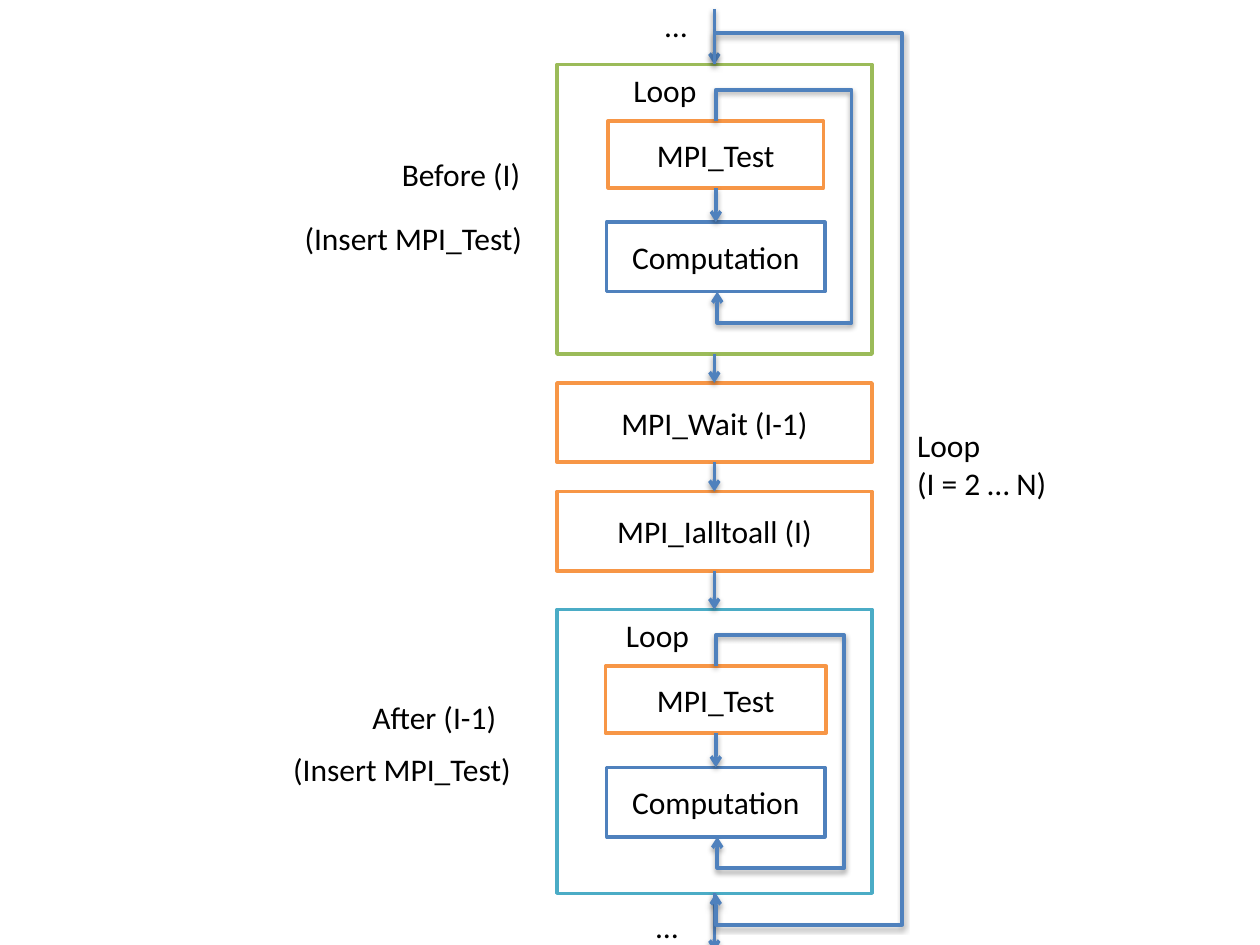
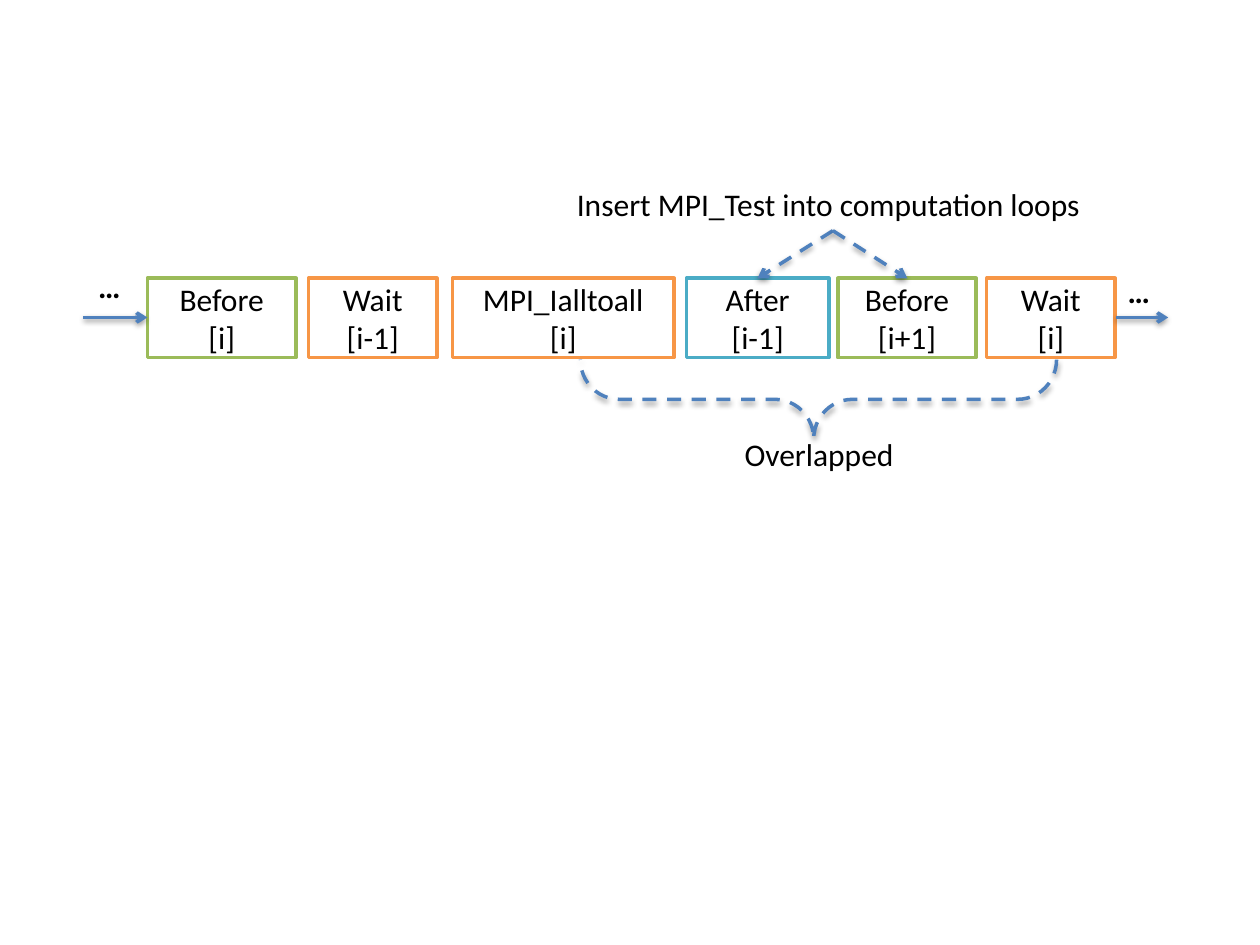
from pptx import Presentation
from pptx.util import Cm, Pt
from pptx.dml.color import RGBColor
from pptx.enum.dml import MSO_LINE as Dash
from pptx.enum.shapes import MSO_CONNECTOR as Link, MSO_SHAPE as Form
from pptx.enum.text import MSO_ANCHOR as Anchor, MSO_AUTO_SIZE as Fit, PP_ALIGN as Align
from pptx.oxml import parse_xml
from pptx.oxml.ns import nsdecls, qn
from lxml.etree import SubElement

BLUE, GREEN, ORANGE, TEAL, BLACK = "4F81BD", "9BBB59", "F79646", "4BACC6", "000000"
SHADE = (
    f'<a:effectLst {nsdecls("a")}><a:outerShdw blurRad="40000" dist="20000" '
    'dir="5400000" rotWithShape="0"><a:srgbClr val="000000">'
    '<a:alpha val="38000"/></a:srgbClr></a:outerShdw></a:effectLst>'
)


def tint(code):
    return RGBColor.from_string(code)


def apply(item, form):
    for name, value in form.items():
        setattr(item, name, value)


class Pen:
    """Draw boxes, labels, arrows and loops on the current slide in one style."""

    font = {"name": "Calibri", "size": Pt(18)}
    boxed = {"word_wrap": True, "vertical_anchor": Anchor.MIDDLE}
    loose = {"word_wrap": False, "auto_size": Fit.SHAPE_TO_FIT_TEXT}

    def __init__(self, deck):
        self.deck = deck
        self.slide = None

    def page(self):
        self.slide = self.deck.slides.add_slide(self.deck.slide_layouts[6])

    def letter(self, frame, text, form, align, bold=False):
        apply(frame, form)
        frame.text = text
        for para in frame.paragraphs:
            para.alignment = align
            apply(para.font, {**self.font, "bold": bold})
            para.font.color.rgb = tint(BLACK)

    def edge(self, shape, color=BLUE, dash=False):
        shape.line.width = Pt(2)
        shape.line.color.rgb = tint(color)
        if dash:
            shape.line.dash_style = Dash.DASH

    def shape(self, form, x, y, w, h, color, dash=False):
        shape = self.slide.shapes.add_shape(form, Cm(x), Cm(y), Cm(w), Cm(h))
        shape.shadow.inherit = False
        shape.fill.background()
        self.edge(shape, color, dash)
        return shape

    def box(self, x, y, w, h, color, text=""):
        shape = self.shape(Form.RECTANGLE, x, y, w, h, color)
        if text:
            self.letter(shape.text_frame, text, self.boxed, Align.CENTER)

    def label(self, x, y, w, text, h=1.03, bold=False):
        shape = self.slide.shapes.add_textbox(Cm(x), Cm(y), Cm(w), Cm(h))
        self.letter(shape.text_frame, text, self.loose, Align.LEFT, bold)

    def link(self, kind, x1, y1, x2, y2, dash=False):
        line = self.slide.shapes.add_connector(kind, Cm(x1), Cm(y1), Cm(x2), Cm(y2))
        self.edge(line, BLUE, dash)
        props = line._element.spPr
        SubElement(props.find(qn("a:ln")), qn("a:tailEnd"), type="arrow")
        props.append(parse_xml(SHADE))
        return line

    def arrow(self, x1, y1, x2, y2, dash=False):
        self.link(Link.STRAIGHT, x1, y1, x2, y2, dash)

    def loop(self, x, top, end, right, gap=0.63, slip=0.03):
        span = end - top
        left, mid = x + (slip - span) / 2, (top + end) / 2
        line = self.link(Link.ELBOW, left + span, mid - slip / 2, left, mid + slip / 2)
        props = line._element.spPr
        props.find(qn("a:xfrm")).set("rot", "16200000")
        geom = props.find(qn("a:prstGeom"))
        geom.set("prst", "bentConnector5")
        bends = geom.find(qn("a:avLst"))
        for i, bend in enumerate((-gap / span, (right - x) / slip, 1 + gap / span), 1):
            SubElement(bends, qn("a:gd"), name=f"adj{i}", fmla=f"val {round(bend * 100000)}")

    def brace(self, x, y, w, h):
        shape = self.shape(Form.LEFT_BRACE, x, y, w, h, BLUE, True)
        shape.rotation = 270
        shape.adjustments[0], shape.adjustments[1] = 0.49, 0.49
        props = shape._element.spPr
        props.replace(props.find(qn("a:effectLst")), parse_xml(SHADE))

    def stage(self, top, h, color, wide, right, tag):
        mid = 14.43
        self.box(11.23, top, 6.35, h, color)
        self.box(mid - wide / 2, top + 1.14, wide, 1.35, ORANGE, "MPI_Test")
        self.box(mid - 2.2, top + 3.18, 4.4, 1.4, BLUE, "Computation")
        self.arrow(mid, top + 2.49, mid, top + 3.18)
        self.loop(mid, top + 1.14, top + 4.58, right)
        self.label(tag, top, 1.8, "Loop")


def flow(pen):
    pen.page()
    axis = 14.4
    pen.stage(1.3, 5.84, GREEN, 4.34, 17.17, 12.52)
    pen.stage(12.29, 5.72, TEAL, 4.45, 17.02, 12.37)
    for y, text in ((7.72, "MPI_Wait (I-1)"), (9.91, "MPI_Ialltoall (I)")):
        pen.box(11.23, y, 6.35, 1.6, ORANGE, text)
    for top, end in ((0.18, 1.3), (7.14, 7.72), (9.32, 9.91), (11.51, 12.29), (18.01, 19.18)):
        pen.arrow(axis, top, axis, end)
    pen.loop(axis, 1.3, 18.01, 18.19)
    for x, y, w, text in (
        (7.85, 3, 2.95, "Before (I)"),
        (5.89, 4.29, 5, "(Insert MPI_Test)"),
        (7.26, 13.94, 3.02, "After (I-1)"),
        (5.66, 14.99, 5, "(Insert MPI_Test)"),
        (13.16, 0, 0.97, "…"),
        (12.98, 18.16, 0.97, "…"),
    ):
        pen.label(x, y, w, text)
    pen.label(18.24, 8.46, 3.15, "Loop\n(I = 2 … N)", 1.8)


def order(pen):
    pen.page()
    for x, w, color, name, step in (
        (2.97, 3, GREEN, "Before", "i"),
        (6.22, 2.59, ORANGE, "Wait", "i-1"),
        (9.12, 4.47, ORANGE, "MPI_Ialltoall", "i"),
        (13.84, 2.87, TEAL, "After", "i-1"),
        (16.89, 2.79, GREEN, "Before", "i+1"),
        (19.89, 2.59, ORANGE, "Wait", "i"),
    ):
        pen.box(x, 5.61, w, 1.6, color, f"{name}\n[{step}]")
    pen.brace(15.7, 3.25, 1.6, 9.6)
    pen.label(14.76, 8.64, 4.09, "Overlapped")
    pen.label(11.38, 3.61, 10.85, "Insert MPI_Test into computation loops")
    for x in (15.27, 18.29):
        pen.arrow(16.79, 4.65, x, 5.61, True)
    for x, end in ((1.68, 2.97), (22.5, 23.55)):
        pen.arrow(x, 6.4, end, 6.4)
    for x, y in ((1.73, 5.26), (22.48, 5.36)):
        pen.label(x, y, 0.97, "…", bold=True)


def main():
    deck = Presentation()
    apply(deck, {"slide_width": Cm(25.4), "slide_height": Cm(19.05)})
    pen = Pen(deck)
    flow(pen)
    order(pen)
    deck.save("out.pptx")


if __name__ == "__main__":
    main()
